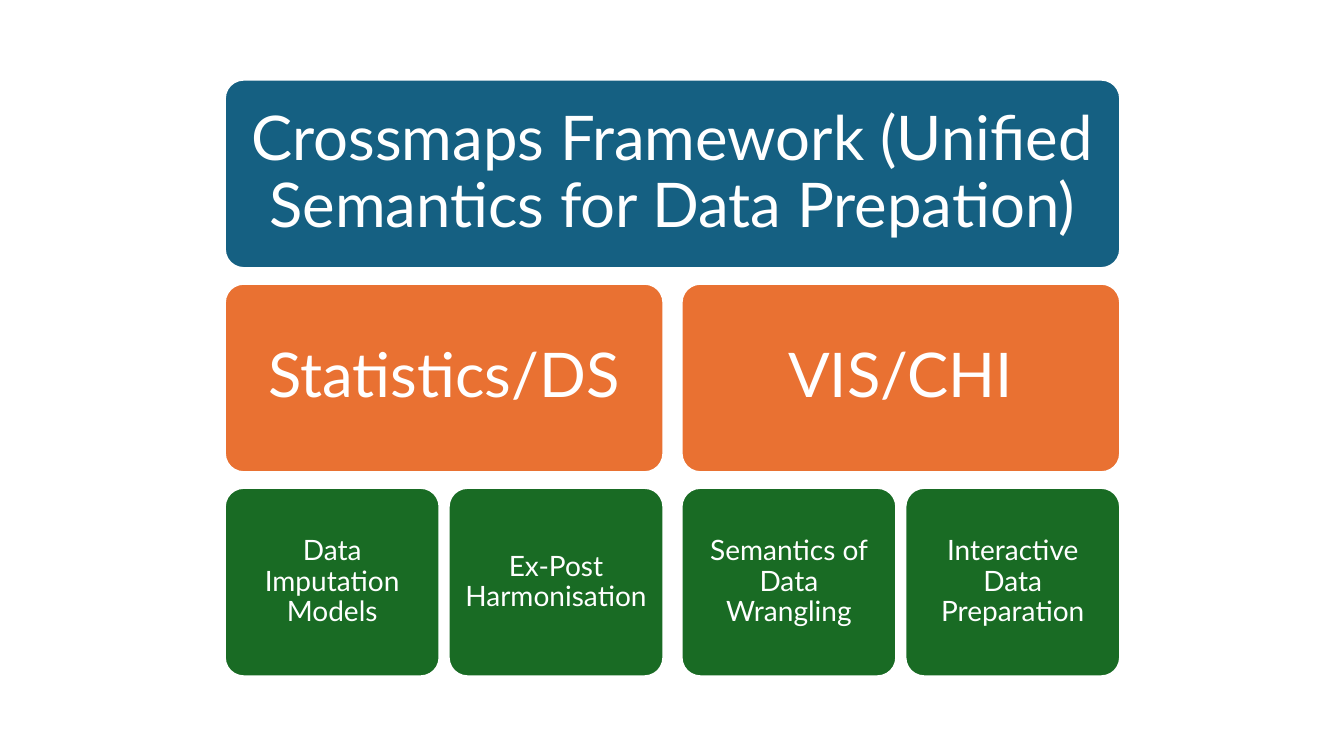
from pptx import Presentation
from pptx import util as u
from pptx.dml.color import RGBColor
from pptx.enum import shapes, text

WHITE = RGBColor(0xFF, 0xFF, 0xFF)
BLUE = RGBColor(0x15, 0x60, 0x82)
ORANGE = RGBColor(0xE9, 0x71, 0x32)
GREEN = RGBColor(0x19, 0x6B, 0x24)

LEVELS = [
    (BLUE, 44, 0.18, ["Crossmaps Framework (Unified Semantics for Data Prepation)"]),
    (ORANGE, 44, 0.18, ["Statistics/DS", "VIS/CHI"]),
    (GREEN, 20, 0.08, ["Data Imputation Models", "Ex-Post Harmonisation",
                       "Semantics of Data Wrangling", "Interactive Data Preparation"]),
]

LEFT, TOP, TREE_H = 2.23, 0.79, 5.92
LEAF_W, BOX_H = 2.13, 1.87
LEAF_GAP, BRANCH_GAP = 0.09, 0.18
ROW_STEP = (TREE_H - BOX_H) / (len(LEVELS) - 1)
LEAVES = len(LEVELS[-1][3])


def leaf_left(i):
    return LEFT + i * (LEAF_W + LEAF_GAP) + i // 2 * (BRANCH_GAP - LEAF_GAP)


def add_box(tree, label, box, fill, size, inset):
    sp = tree.shapes.add_shape(shapes.MSO_SHAPE.ROUNDED_RECTANGLE, *map(u.Inches, box))
    sp.adjustments[0] = 0.1
    sp.shadow.inherit = False
    sp.fill.solid()
    sp.fill.fore_color.rgb = fill
    sp.line.color.rgb = WHITE
    sp.line.width = u.Pt(1.5)
    tf = sp.text_frame
    frame = {"word_wrap": True, "vertical_anchor": text.MSO_ANCHOR.MIDDLE}
    for side in ("left", "right", "top", "bottom"):
        frame[f"margin_{side}"] = u.Inches(inset)
    for name, value in frame.items():
        setattr(tf, name, value)
    p = tf.paragraphs[0]
    p.alignment = text.PP_ALIGN.CENTER
    p.line_spacing = 0.9
    r = p.add_run()
    r.text = label
    for name, value in {"name": "Lato", "size": u.Pt(size)}.items():
        setattr(r.font, name, value)
    r.font.color.rgb = WHITE


def main():
    prs = Presentation()
    prs.slide_width, prs.slide_height = u.Inches(13.33), u.Inches(7.5)
    s = prs.slides.add_slide(prs.slide_layouts[6])
    tree = s.shapes.add_group_shape()
    for row, (fill, size, inset, labels) in enumerate(LEVELS):
        span = LEAVES // len(labels)
        for i, label in enumerate(labels):
            left = leaf_left(i * span)
            right = leaf_left((i + 1) * span - 1) + LEAF_W
            box = (left, TOP + row * ROW_STEP, right - left, BOX_H)
            add_box(tree, label, box, fill, size, inset)
    prs.save("out.pptx")


if __name__ == "__main__":
    main()
